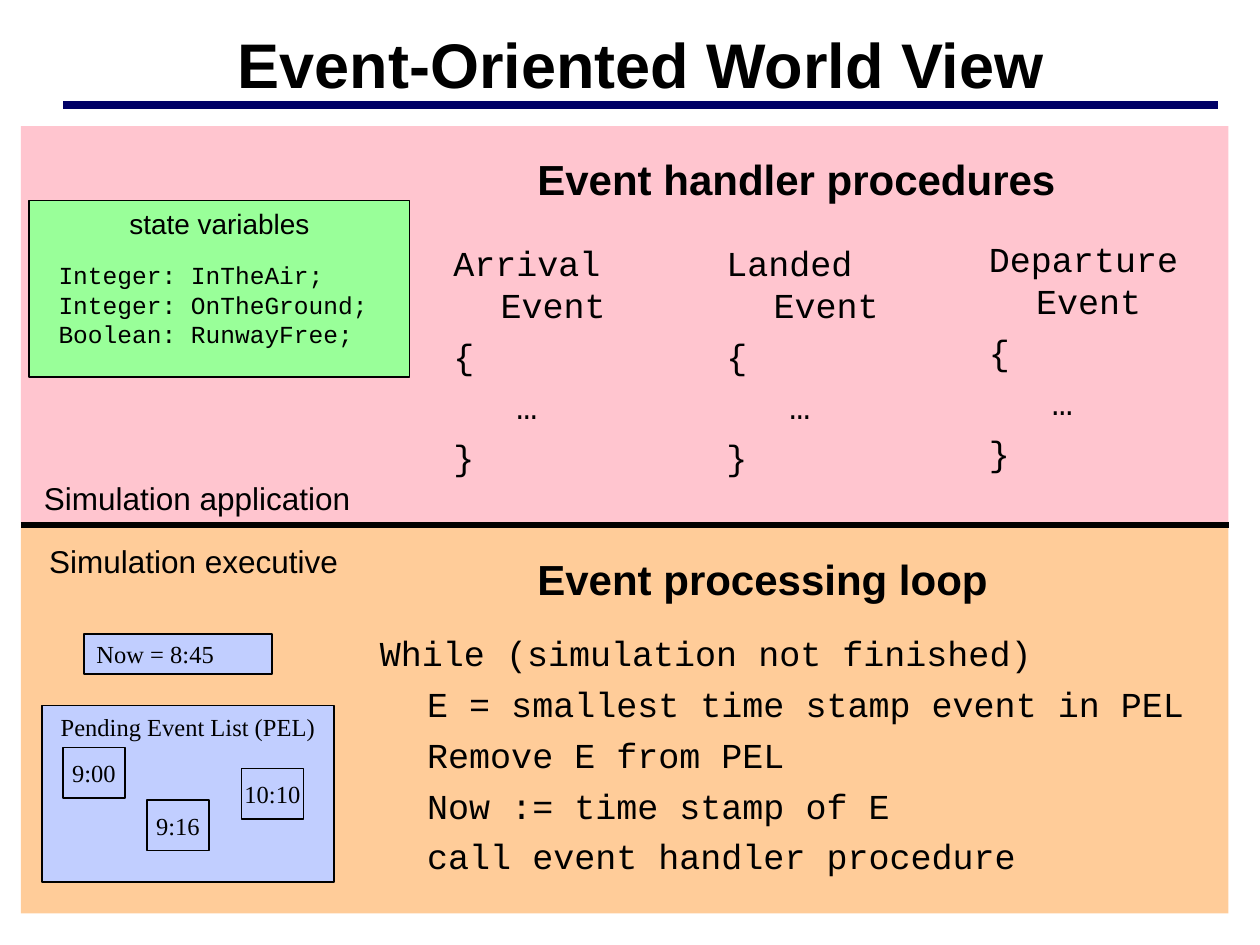
"""Build the event-oriented world view slide on a grid of 120 columns by 90 rows."""
from lxml.etree import SubElement
from pptx import Presentation
from pptx.dml.color import RGBColor as Rgb
from pptx.enum.shapes import MSO_CONNECTOR as Link, MSO_SHAPE as Kind
from pptx.enum.text import MSO_ANCHOR as Anchor, PP_ALIGN as Align
from pptx.oxml.ns import qn
from pptx.util import Inches, Pt

SANS, MONO, SERIF = "Arial", "Courier New", "Times New Roman"
PINK, PEACH, GREEN, BLUE = "FFC5CF", "FFCC99", "99FF99", "C1CEFF"
BLACK, NAVY = "000000", "000066"

deck = Presentation()
deck.slide_width, deck.slide_height = Inches(10), Inches(7.5)
CELL = deck.slide_width / 120
slide = deck.slides.add_slide(deck.slide_layouts[6])
shapes = slide.shapes


def write(text, at, size=20, face=MONO, bold=False, align=Align.LEFT,
          anchor=Anchor.TOP, wrap=True, gap=0, pads=(0,), hang=0,
          fill=None, edge=True):
    """Place text in a box; pads are line indents in cells, the last one repeats."""
    spot = [round(n * CELL) for n in at]
    if fill:
        box = shapes.add_shape(Kind.RECTANGLE, *spot)
        box.shadow.inherit = False
        box.fill.solid()
        box.fill.fore_color.rgb = Rgb.from_string(fill)
        if edge:
            box.line.color.rgb = Rgb.from_string(BLACK)
            box.line.width = Pt(1)
        else:
            box.line.fill.background()
    else:
        box = shapes.add_textbox(*spot)
    frame = box.text_frame
    frame.word_wrap, frame.vertical_anchor = wrap, anchor
    for i, line in enumerate(text.splitlines()):
        para = frame.add_paragraph() if i else frame.paragraphs[0]
        para.alignment, para.space_before = align, Pt(gap)
        pad = pads[min(i, len(pads) - 1)]
        inset = hang if i == 0 else 0
        props = para._p.get_or_add_pPr()
        props.set("marL", str(round((pad + inset) * CELL)))
        props.set("indent", str(round(-inset * CELL)))
        run = para.add_run()
        run.text = line
        font = run.font
        font.name, font.size, font.bold = face, Pt(size), bold
        font.color.rgb = Rgb.from_string(BLACK)


def rule(left, right, row, tint, width):
    """Draw a level line between two columns."""
    ends = [round(n * CELL) for n in (left, row, right, row)]
    line = shapes.add_connector(Link.STRAIGHT, *ends)
    line.line.color.rgb = Rgb.from_string(tint)
    line.line.width = Pt(width)
    SubElement(line._element.spPr, qn("a:effectLst"))


rule(6, 116, 10, NAVY, 4.5)
write("Event-Oriented World View", (6.2, 1.8, 109.7, 8.4), size=36, face=SANS,
      bold=True, align=Align.CENTER, anchor=Anchor.MIDDLE)

for top, high, tint in ((12, 38, PINK), (50, 37, PEACH)):
    write("", (2, top, 115, high), fill=tint, edge=False)
rule(2, 117, 50, BLACK, 3)

for head, top in (("Event handler procedures", 14), ("Event processing loop", 52.1)):
    write(head, (44, top, 58, 6), size=24, face=SANS, bold=True, gap=6, pads=(6,))
for name, left, top, wide in (("Simulation application", 3, 45, 31.6),
                              ("Simulation executive", 3.5, 51, 29.9)):
    write(name, (left, top, wide, 4.8), size=18, face=SANS, wrap=False)

write("state variables", (2.8, 19.1, 36.2, 16.8), size=16, face=SANS,
      align=Align.CENTER, fill=GREEN)
write("Integer: InTheAir;\nInteger: OnTheGround;\nBoolean: RunwayFree;",
      (4.4, 24.2, 31.9, 9.6), size=14, wrap=False)

for name, left, top, wide in (("Arrival", 42, 22.4, 23), ("Landed", 68, 22.4, 21),
                              ("Departure", 93, 22, 21)):
    write(f"{name} Event\n{{\n…\n}}", (left, top, wide, 23.6), gap=5,
          pads=(0, 0, 6, 0), hang=4.5)

write("Now = 8:45", (8, 60.4, 17.9, 3.8), size=14, face=SERIF,
      anchor=Anchor.MIDDLE, fill=BLUE)
write("Pending Event List (PEL)", (4, 67.2, 27.8, 16.8), size=14, face=SERIF,
      align=Align.CENTER, wrap=False, fill=BLUE)
for time, left, top in (("9:00", 6, 71.2), ("9:16", 14, 76.2), ("10:10", 23, 73.2)):
    write(time, (left, top, 5.9, 4.8), size=14, face=SERIF, align=Align.CENTER,
          anchor=Anchor.MIDDLE, wrap=False, fill=BLUE)

write("While (simulation not finished)\nE = smallest time stamp event in PEL\n"
      "Remove E from PEL\nNow := time stamp of E\ncall event handler procedure",
      (35, 59.6, 80, 24.5), gap=5, pads=(0, 4.5))

deck.save("out.pptx")
